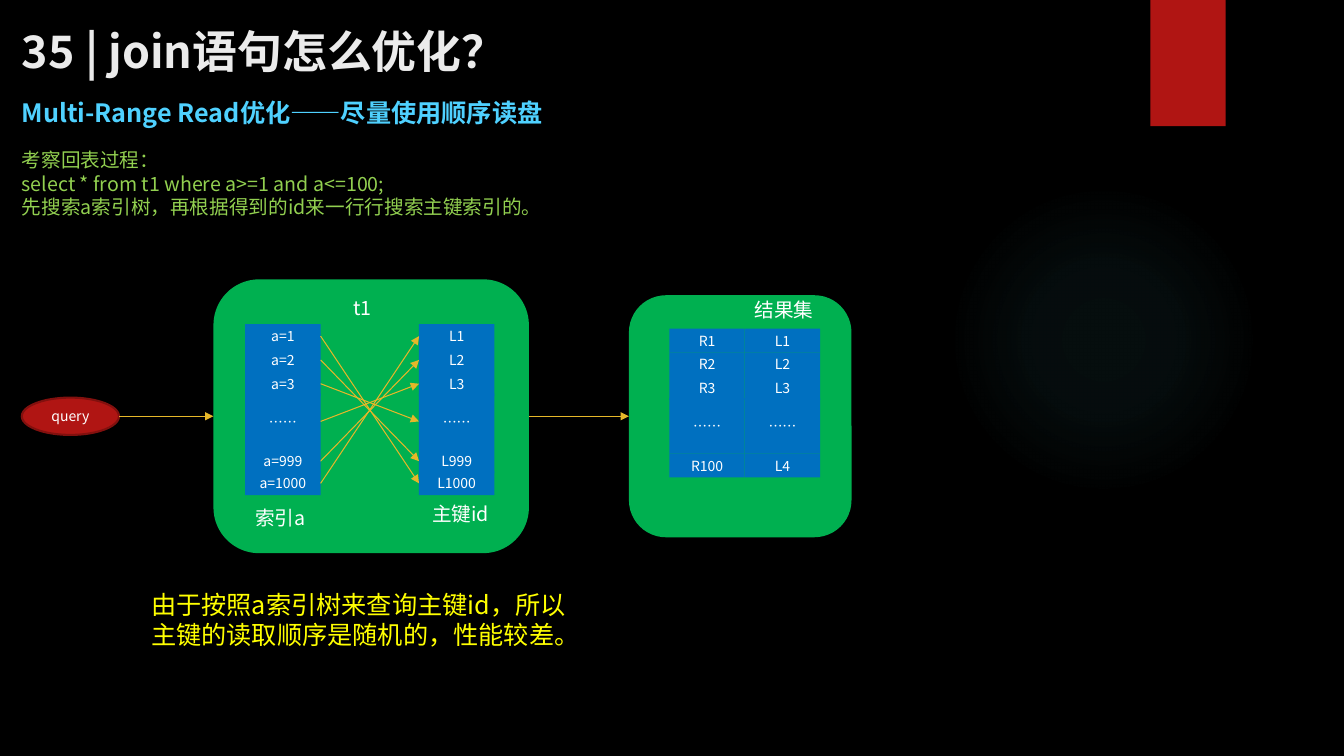
import pptx
import pptx.util
import pptx.dml.color
import pptx.enum.shapes
import pptx.enum.text
import pptx.oxml
import pptx.oxml.ns

Cm = pptx.util.Cm
Pt = pptx.util.Pt
KIND = pptx.enum.shapes.MSO_SHAPE
LINK = pptx.enum.shapes.MSO_CONNECTOR
ALIGN = pptx.enum.text.PP_ALIGN
ANCHOR = pptx.enum.text.MSO_ANCHOR
FIT = pptx.enum.text.MSO_AUTO_SIZE

FONT = "Noto Sans CJK SC"
COLORS = {
    "black": "000000", "title": "EBEBEB", "sky": "4FD1FF", "lime": "92D050",
    "yellow": "FFFF00", "white": "FFFFFF", "green": "00B050", "blue": "0070C0",
    "red": "B01513", "dark": "82100E", "gold": "E6B729", "glow": "50B9C1",
}
CELL = 1.9
ROWS = [(0, 0.6), (0.6, 0.6), (1.2, 0.6), (1.75, 1.4), (3.15, 0.6), (3.71, 0.6)]
MID = 10.49


def color(name):
    return pptx.dml.color.RGBColor.from_string(COLORS[name])


def style(frame, size, tint, bold=False, align=ALIGN.LEFT):
    for para in frame.paragraphs:
        para.alignment = align
        for run in para.runs:
            run.font.name = FONT
            run.font.size = Pt(size)
            run.font.bold = bold
            run.font.color.rgb = color(tint)
            east = pptx.oxml.parse_xml(
                f'<a:ea {pptx.oxml.ns.nsdecls("a")} typeface="{FONT}"/>')
            run.font._element.find(pptx.oxml.ns.qn("a:latin")).addnext(east)


def add_box(slide, kind, x, y, w, h, fill, text="", edge=None):
    box = slide.shapes.add_shape(kind, Cm(x), Cm(y), Cm(w), Cm(h))
    box.shadow.inherit = False
    box.fill.solid()
    box.fill.fore_color.rgb = color(fill)
    if edge:
        box.line.color.rgb = color(edge)
        box.line.width = Pt(1.5)
    else:
        box.line.fill.background()
    if text:
        box.text_frame.text = text
        box.text_frame.vertical_anchor = ANCHOR.MIDDLE
        style(box.text_frame, 10, "white", align=ALIGN.CENTER)
    return box


def add_text(slide, x, y, w, h, text, size, tint, bold=False, wrap=True):
    box = slide.shapes.add_textbox(Cm(x), Cm(y), Cm(w), Cm(h))
    frame = box.text_frame
    frame.text = text
    frame.word_wrap = wrap
    frame.auto_size = FIT.SHAPE_TO_FIT_TEXT
    style(frame, size, tint, bold)


def add_stack(slide, x, y, labels):
    return [add_box(slide, KIND.RECTANGLE, x, y + top, CELL, high, "blue", label)
            for label, (top, high) in zip(labels, ROWS)]


def add_arrow(slide, kind, start, end):
    link = slide.shapes.add_connector(kind, Cm(3), Cm(MID), Cm(5), Cm(MID))
    if start:
        link.begin_connect(start, 3)
    end_site = 1
    link.end_connect(end, end_site)
    link.line.color.rgb = color("gold")
    link.line.width = Pt(0.75)
    space = pptx.oxml.ns.nsdecls("a")
    link.line._get_or_add_ln().append(
        pptx.oxml.parse_xml(f'<a:tailEnd {space} type="triangle"/>'))
    link._element.spPr.append(pptx.oxml.parse_xml(f"<a:effectLst {space}/>"))


def add_glow(slide):
    glow = add_box(slide, KIND.OVAL, 23.9, 4.65, 7.82, 7.82, "glow")
    stops = "".join(
        f'<a:gs pos="{at * 1000}"><a:srgbClr val="{COLORS["glow"]}">'
        f'<a:alpha val="{alpha * 1000}"/></a:srgbClr></a:gs>'
        for at, alpha in [(0, 7), (36, 6), (69, 0), (100, 0)])
    grad = pptx.oxml.parse_xml(
        f'<a:gradFill {pptx.oxml.ns.nsdecls("a")}><a:gsLst>{stops}</a:gsLst>'
        '<a:path path="circle"><a:fillToRect l="50000" t="50000" r="50000" '
        'b="50000"/></a:path></a:gradFill>')
    props = glow._element.spPr
    props.replace(props.find(pptx.oxml.ns.qn("a:solidFill")), grad)


def add_title(slide, text):
    title = slide.shapes.title
    title.left, title.top = Cm(0.3), Cm(0.43)
    title.width, title.height = Cm(30.96), Cm(1.68)
    title.text_frame.text = text
    title.text_frame.vertical_anchor = ANCHOR.MIDDLE
    style(title.text_frame, 32, "title", True)


def main():
    deck = pptx.Presentation()
    deck.slide_width, deck.slide_height = Cm(33.87), Cm(19.05)
    slide = deck.slides.add_slide(deck.slide_layouts[5])
    slide.background.fill.solid()
    slide.background.fill.fore_color.rgb = color("black")

    add_glow(slide)
    add_box(slide, KIND.RECTANGLE, 28.99, 0, CELL, 3.18, "red")
    add_title(slide, "35 | join语句怎么优化？")
    add_text(slide, 0.3, 2.34, 14.15, 1.02,
             "Multi-Range Read优化——尽量使用顺序读盘", 18, "sky", True, False)
    add_text(slide, 0.3, 3.61, 26.54, 2.06,
             "考察回表过程：\nselect * from t1 where a>=1 and a<=100;\n"
             "先搜索a索引树，再根据得到的id来一行行搜索主键索引的。", 14, "lime")

    result = add_box(slide, KIND.ROUNDED_RECTANGLE, 15.85, 7.44, 5.61, 6.1, "green")
    add_stack(slide, 16.87, 8.28, ["R1", "R2", "R3", "……", "R100"])
    add_stack(slide, 16.87 + CELL, 8.28, ["L1", "L2", "L3", "……", "L4"])
    add_text(slide, 18.77, 7.39, 4.7, 0.86, "结果集", 14, "white")

    table = add_box(slide, KIND.ROUNDED_RECTANGLE, 5.38, 7.04, 7.95, 6.9, "green")
    index = add_stack(slide, 6.18, 8.17,
                      ["a=1", "a=2", "a=3", "……", "a=999", "a=1000"])
    keys = add_stack(slide, 10.56, 8.17,
                     ["L1", "L2", "L3", "……", "L999", "L1000"])
    for start, end in zip(index, reversed(keys)):
        add_arrow(slide, LINK.STRAIGHT, start, end)
    add_text(slide, 8.66, 7.34, 1.42, 0.86, "t1", 14, "white")
    add_text(slide, 6.18, 12.62, 1.85, 0.86, "索引a", 14, "white")
    add_text(slide, 10.64, 12.52, 2.39, 0.86, "主键id", 14, "white")

    add_box(slide, KIND.OVAL, 0.55, MID - 0.47, 2.45, 0.94, "red", "query", "dark")
    add_arrow(slide, LINK.ELBOW, None, table)
    add_arrow(slide, LINK.ELBOW, table, result)
    add_text(slide, 3.56, 14.73, 11.53, 1.8,
             "由于按照a索引树来查询主键id，所以主键的读取顺序是随机的，性能较差。",
             18, "yellow")
    deck.save("out.pptx")


if __name__ == "__main__":
    main()
